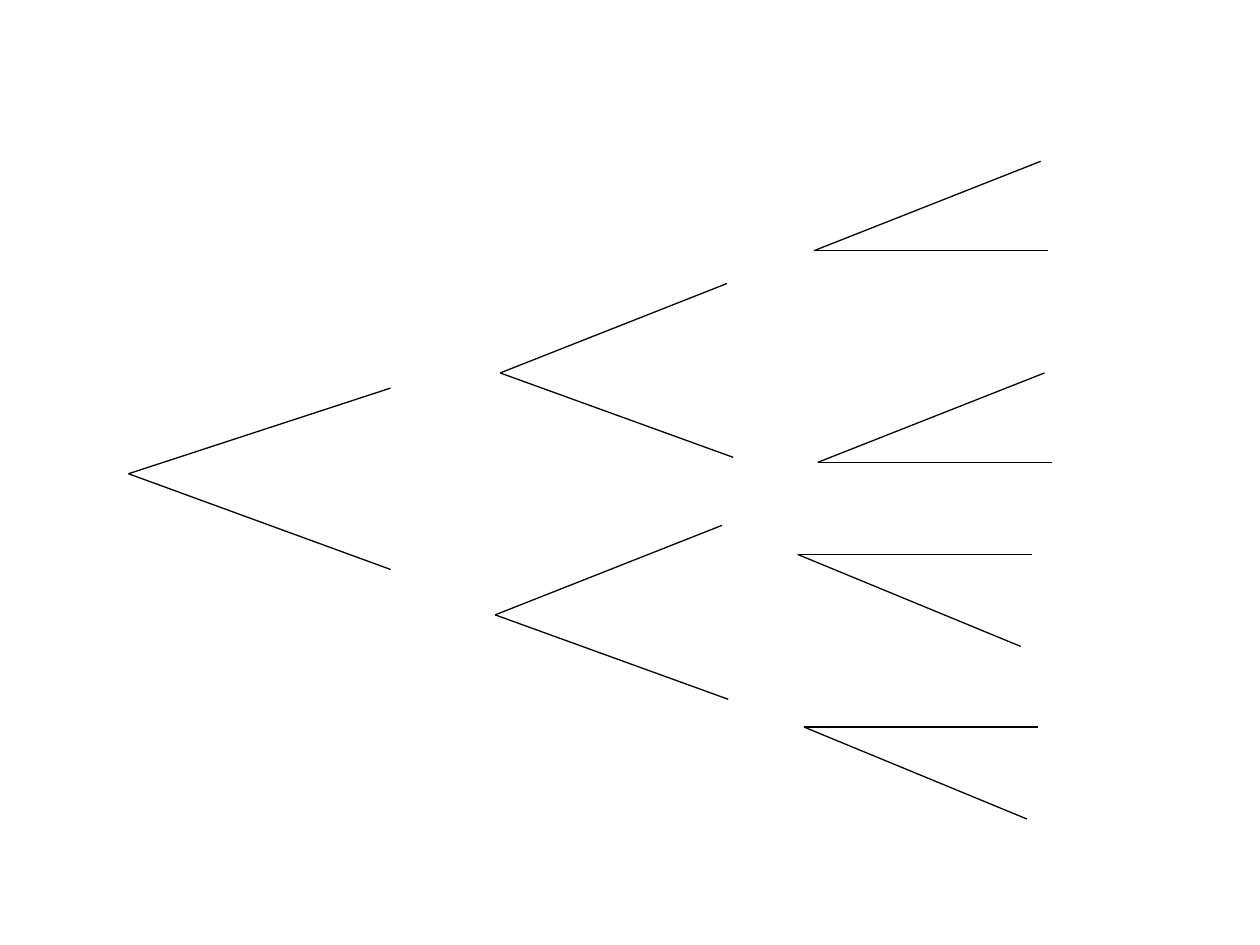
from lxml import etree
from pptx import Presentation
from pptx.dml.color import RGBColor
from pptx.enum.shapes import MSO_CONNECTOR
from pptx.oxml.ns import qn
from pptx.util import Inches, Pt

STRAIGHT = MSO_CONNECTOR.STRAIGHT
SLIDE_WIDTH, SLIDE_HEIGHT = 10, 7.5
BLANK_LAYOUT = 6

THEME = {
    "background": RGBColor(0xFF, 0xFF, 0xFF),
    "branch": RGBColor(0x00, 0x00, 0x00),
    "branch_width": Pt(0.75),
}

# Branch directions (across, down) in inches, shared by forks of one kind.
RISING = (1.8, -0.71)
LEVEL = (1.86, 0)

# Each tree level: the nodes where its forks start, and the two branches.
TREE = [
    {"nodes": [(1.02, 3.76)], "branches": [(2.08, -0.68), (2.08, 0.76)]},
    {"nodes": [(3.97, 2.96), (3.93, 4.88)], "branches": [RISING, (1.85, 0.67)]},
    {"nodes": [(6.46, 1.99), (6.49, 3.67)], "branches": [RISING, LEVEL]},
    {"nodes": [(6.33, 4.4), (6.38, 5.77)], "branches": [LEVEL, (1.77, 0.73)]},
]


def draw_branch(slide, node, direction):
    x, y = node
    across, down = direction
    ends = (x, y, x + across, y + down)
    branch = slide.shapes.add_connector(STRAIGHT, *map(Inches, ends))
    branch.line.color.rgb = THEME["branch"]
    branch.line.width = THEME["branch_width"]
    etree.SubElement(branch._element.spPr, qn("a:effectLst"))


def main():
    presentation = Presentation()
    presentation.slide_width = Inches(SLIDE_WIDTH)
    presentation.slide_height = Inches(SLIDE_HEIGHT)
    slide = presentation.slides.add_slide(presentation.slide_layouts[BLANK_LAYOUT])
    slide.background.fill.solid()
    slide.background.fill.fore_color.rgb = THEME["background"]

    for fork in TREE:
        for node in fork["nodes"]:
            for direction in fork["branches"]:
                draw_branch(slide, node, direction)

    presentation.save("out.pptx")


if __name__ == "__main__":
    main()
